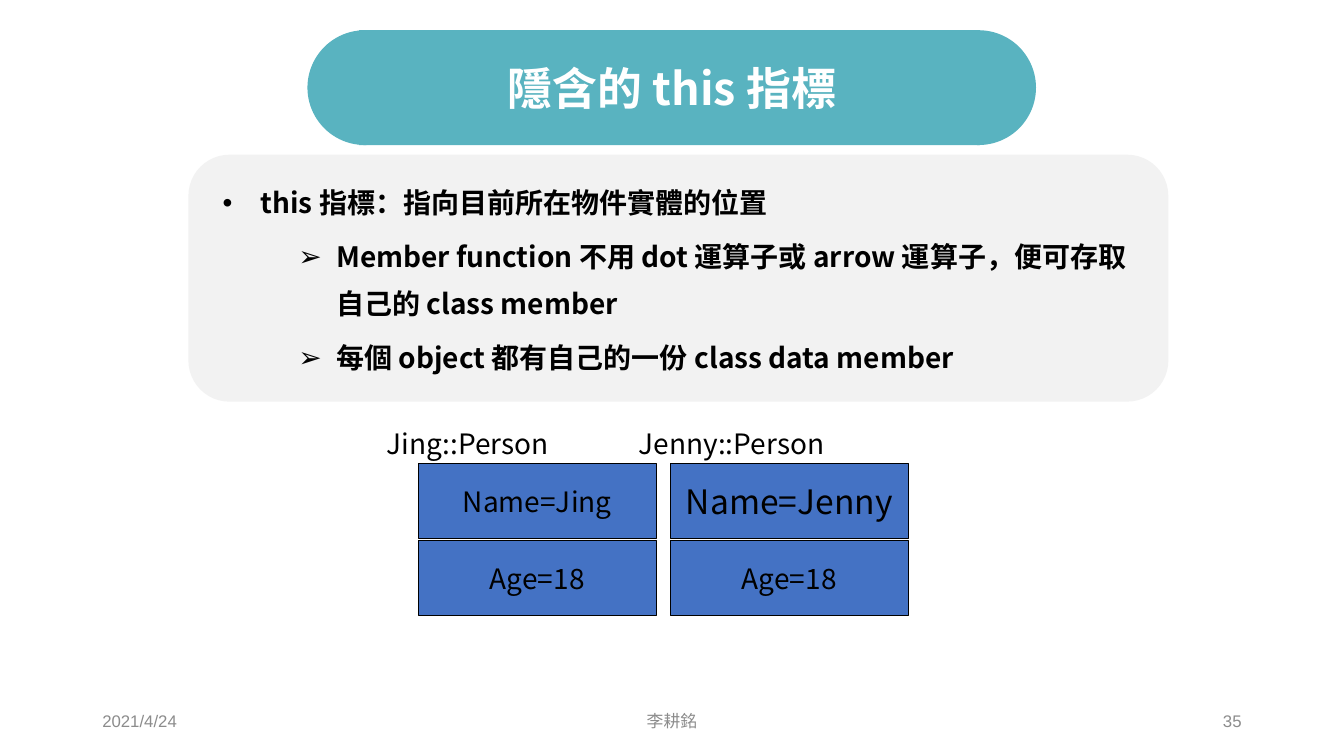
from lxml import etree
from pptx import Presentation
from pptx.dml.color import RGBColor
from pptx.enum import shapes, text
from pptx.oxml.ns import qn
from pptx.util import Pt

SANS = "Noto Sans CJK SC"
LEFT, CENTER, RIGHT = text.PP_ALIGN.LEFT, text.PP_ALIGN.CENTER, text.PP_ALIGN.RIGHT
TOP, MIDDLE = text.MSO_ANCHOR.TOP, text.MSO_ANCHOR.MIDDLE
SHAPE = shapes.MSO_SHAPE

deck = Presentation()
deck.slide_width, deck.slide_height = Pt(960), Pt(540)
page = deck.slides.add_slide(deck.slide_layouts[6])


def add_block(kind, area, fill=None, outline=None):
    """Add a preset shape, or a text box when kind is None."""
    area = [Pt(length) for length in area]
    if kind is None:
        return page.shapes.add_textbox(*area)
    block = page.shapes.add_shape(kind, *area)
    block.shadow.inherit = False
    block.fill.solid()
    block.fill.fore_color.rgb = RGBColor.from_string(fill)
    if outline:
        block.line.color.rgb = RGBColor.from_string(outline)
        block.line.width = Pt(0.75)
    else:
        block.line.fill.background()
    return block


def write(para, words, size, color="000000", face=SANS, bold=False, align=LEFT):
    para.alignment = align
    span = para.add_run()
    span.text = words
    look = {"name": face, "size": Pt(size), "bold": bold}
    for key, value in look.items():
        setattr(span.font, key, value)
    span.font.color.rgb = RGBColor.from_string(color)
    east_asian = etree.SubElement(span.font._element, qn("a:ea"))
    east_asian.set("typeface", SANS)


# Title banner
banner_top, banner_height = 21.6, 82
for kind, left, width in [(SHAPE.OVAL, 219.6, 82), (SHAPE.OVAL, 658, 82),
                          (SHAPE.RECTANGLE, 256.3, 443.5)]:
    add_block(kind, (left, banner_top, width, banner_height), "59B3C0")
title = add_block(None, (66, banner_top, 828, banner_height)).text_frame
title.word_wrap, title.vertical_anchor = True, MIDDLE
write(title.paragraphs[0], "隱含的 this 指標", 32, "FFFFFF", bold=True, align=CENTER)

# Two objects, each with its data members
objects = [
    ("Jing::Person", 161.3, [("Name=Jing", 20), ("Age=18", 20)]),
    ("Jenny::Person", 182.2, [("Name=Jenny", 24), ("Age=18", 20)]),
]
for column, (label, label_width, members) in enumerate(objects):
    left = 298.8 + 180 * column
    for row, (member, size) in enumerate(members):
        area = (left, 331 + 55 * row, 170, 53.5)
        cell = add_block(SHAPE.RECTANGLE, area, "4472C4", "000000").text_frame
        cell.word_wrap, cell.vertical_anchor = False, MIDDLE
        write(cell.paragraphs[0], member, size, align=CENTER)
    caption = add_block(None, (left - 29.5, 301, label_width, 31.5)).text_frame
    caption.word_wrap = True
    write(caption.paragraphs[0], label, 20)

# Footer
for words, left, width, align in [("2021/4/24", 66, 216, LEFT),
                                  ("李耕銘", 318, 324, CENTER),
                                  ("35", 678, 216, RIGHT)]:
    footer = add_block(None, (left, 500.5, width, 28.8)).text_frame
    footer.word_wrap, footer.vertical_anchor = True, MIDDLE
    write(footer.paragraphs[0], words, 12, "8C8C8C", "Arial", align=align)

# Explanation panel
add_block(SHAPE.ROUNDED_RECTANGLE, (134.6, 110.5, 700, 176.4), "F2F2F2")
notes = add_block(None, (152, 119.5, 669.6, 160.6)).text_frame
notes.word_wrap, notes.vertical_anchor = True, TOP
points = [
    (0, "this 指標：指向目前所在物件實體的位置"),
    (1, "Member function 不用 dot 運算子或 arrow 運算子，便可存取自己的 class member"),
    (1, "每個 object 都有自己的一份 class data member"),
]
for index, (level, words) in enumerate(points):
    para = notes.add_paragraph() if index else notes.paragraphs[0]
    spacing = {"level": level, "line_spacing": 1.4, "space_before": Pt(5 if index else 0)}
    for key, value in spacing.items():
        setattr(para, key, value)
    properties = para._p.get_or_add_pPr()
    properties.set("marL", str(Pt(27 + 54 * level)))
    properties.set("indent", str(Pt(-27)))
    etree.SubElement(properties, qn("a:buFont")).set("typeface", "Arial")
    etree.SubElement(properties, qn("a:buChar")).set("char", "•➢"[level])
    write(para, words, 20, bold=True)

deck.save("out.pptx")
